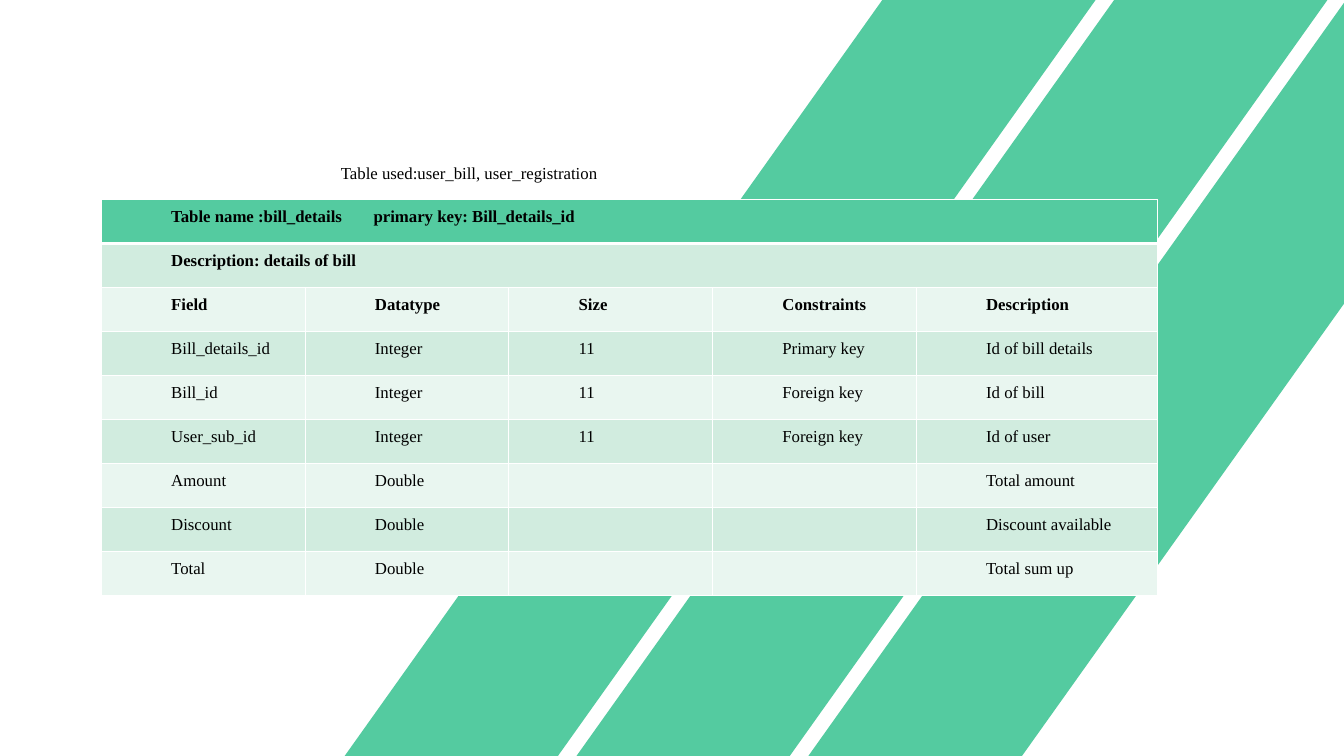
from dataclasses import dataclass
from lxml.etree import SubElement as Sub
from pptx import Presentation
from pptx.dml.color import RGBColor as RGB
from pptx.enum.shapes import MSO_SHAPE as Shape
from pptx.enum.text import MSO_AUTO_SIZE as Fit, PP_ALIGN as Align
from pptx.oxml.ns import qn
from pptx.util import Pt


@dataclass(frozen=True)
class Theme:
    green: str = "54CBA0"
    mint: str = "D1ECDF"
    pale: str = "E9F6F0"
    line: str = "FFFFFF"
    ink: str = "000000"
    font: str = "Times New Roman"
    size: float = 12


theme = Theme()

HEADS = [
    ["Table name :bill_details\tprimary key: Bill_details_id"],
    ["Description: details of bill"],
    ["Field", "Datatype", "Size", "Constraints", "Description"],
]
FIELDS = [
    ["Bill_details_id", "Integer", "11", "Primary key", "Id of bill details"],
    ["Bill_id", "Integer", "11", "Foreign key", "Id of bill"],
    ["User_sub_id", "Integer", "11", "Foreign key", "Id of user"],
    ["Amount", "Double", "", "", "Total amount"],
    ["Discount", "Double", "", "", "Discount available"],
    ["Total", "Double", "", "", "Total sum up"],
]


def paint(shape):
    shape.shadow.inherit = False
    shape.fill.solid()
    shape.fill.fore_color.rgb = RGB.from_string(theme.green)
    shape.line.fill.background()


def band(slide, left, top, width, height):
    shape = slide.shapes.add_shape(
        Shape.PARALLELOGRAM, Pt(left), Pt(top), Pt(width), Pt(height))
    shape.adjustments[0] = 0.716
    paint(shape)


def corner(slide, left, top, width, height):
    right, low = left + width, top + height
    form = slide.shapes.build_freeform(Pt(right), Pt(top))
    form.add_line_segments([
        (Pt(right), Pt(top + 215)),
        (Pt(left + 152.6), Pt(low)),
        (Pt(left), Pt(low)),
    ])
    paint(form.convert_to_shape())


def write(para, text, space, bold=False, tab=None):
    para.text = text
    props = para._p.get_or_add_pPr()
    props.set("marL", str(Pt(45.4)))
    props.set("indent", str(Pt(-0.5)))
    para.line_spacing = space
    if tab:
        tabs = Sub(props, qn("a:tabLst"))
        Sub(tabs, qn("a:tab"), pos=str(Pt(tab)), algn="l")
    font = para.font
    font.name = theme.font
    font.size = Pt(theme.size)
    font.bold = bold
    font.color.rgb = RGB.from_string(theme.ink)


def edge(cell, side, width):
    line = Sub(cell._tc.get_or_add_tcPr(), qn("a:ln" + side), w=str(Pt(width)))
    fill = Sub(line, qn("a:solidFill"))
    Sub(fill, qn("a:srgbClr"), val=theme.line)


def style(cell, row):
    cell.margin_left = cell.margin_right = Pt(5)
    cell.margin_top = cell.margin_bottom = 0
    for side in "LRTB":
        thick = (row, side) in [(0, "B"), (1, "T")]
        edge(cell, side, 3 if thick else 1)
    tint = theme.mint if row % 2 else theme.pale
    cell.fill.solid()
    cell.fill.fore_color.rgb = RGB.from_string(theme.green if row == 0 else tint)


def bill(slide, left, top, width, height):
    rows = HEADS + FIELDS
    count = len(FIELDS[0])
    table = slide.shapes.add_table(
        len(rows), count, Pt(left), Pt(top), Pt(width), Pt(height)).table
    last = 172.4
    for col in table.columns:
        col.width = Pt((width - last) / (count - 1))
    table.columns[count - 1].width = Pt(last)
    for r, texts in enumerate(rows):
        table.rows[r].height = Pt(height / len(rows))
        for c in range(count):
            style(table.cell(r, c), r)
        if len(texts) == 1:
            table.cell(r, 0).merge(table.cell(r, count - 1))
        for c, text in enumerate(texts):
            if text:
                para = table.cell(r, c).text_frame.paragraphs[0]
                write(para, text, 1.43, r < len(HEADS), 283.7 if "\t" in text else None)


def caption(slide, left, top, width, height):
    frame = slide.shapes.add_textbox(
        Pt(left), Pt(top), Pt(width), Pt(height)).text_frame
    frame.word_wrap = False
    frame.auto_size = Fit.SHAPE_TO_FIT_TEXT
    para = frame.paragraphs[0]
    para.alignment = Align.JUSTIFY
    para.space_after = Pt(8)
    write(para, "Table used:user_bill, user_registration", 2)


def main():
    deck = Presentation()
    deck.slide_width, deck.slide_height = Pt(960), Pt(540)
    slide = deck.slides.add_slide(deck.slide_layouts[6])
    band(slide, 411.8, 0, 536.4, 540)
    corner(slide, 577.4, 2, 382.6, 538)
    band(slide, 246.2, 0, 536.4, 540)
    bill(slide, 72.4, 142.4, 754.6, 283)
    caption(slide, 191.5, 98.6, 245.5, 31.7)
    deck.save("out.pptx")


if __name__ == "__main__":
    main()
